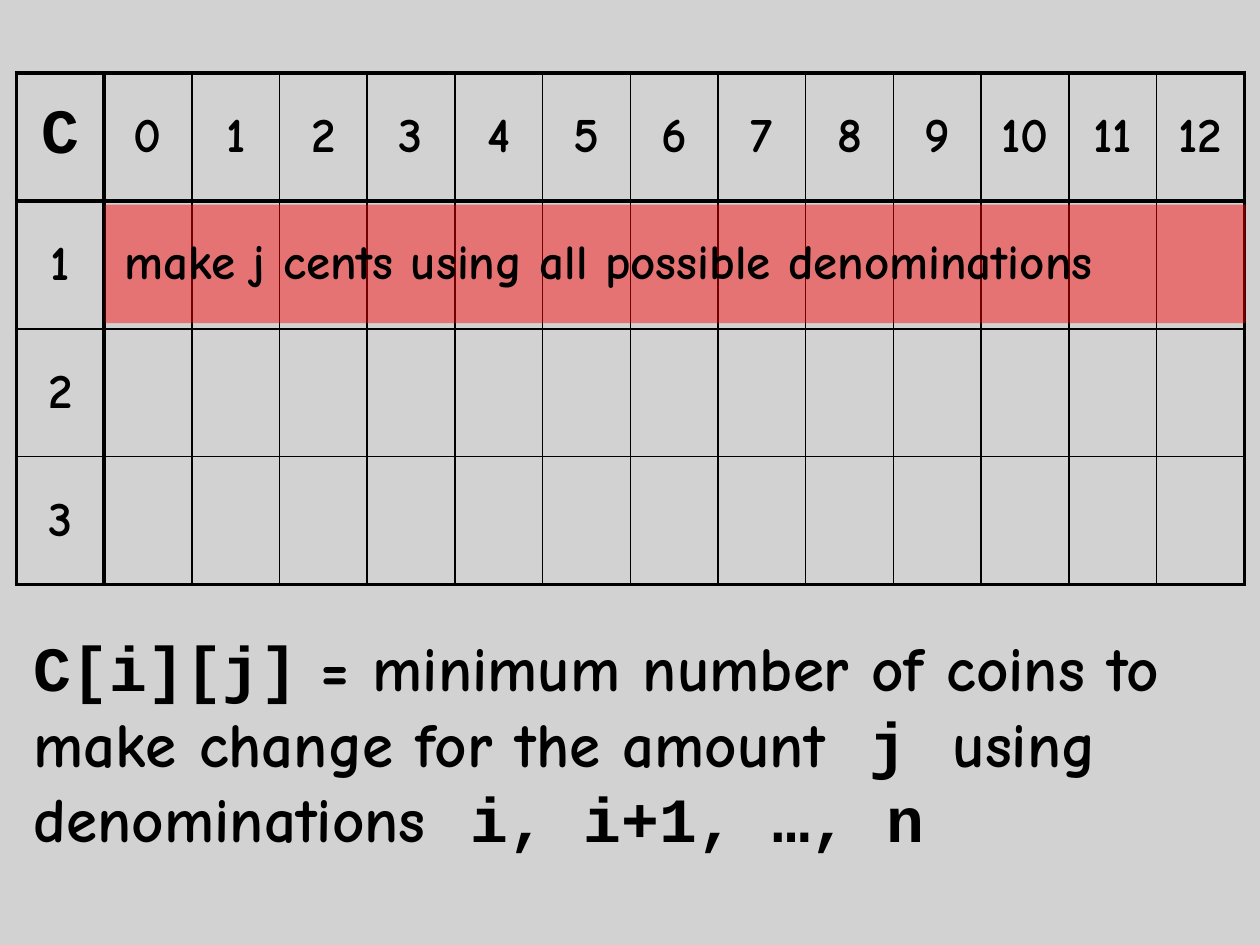
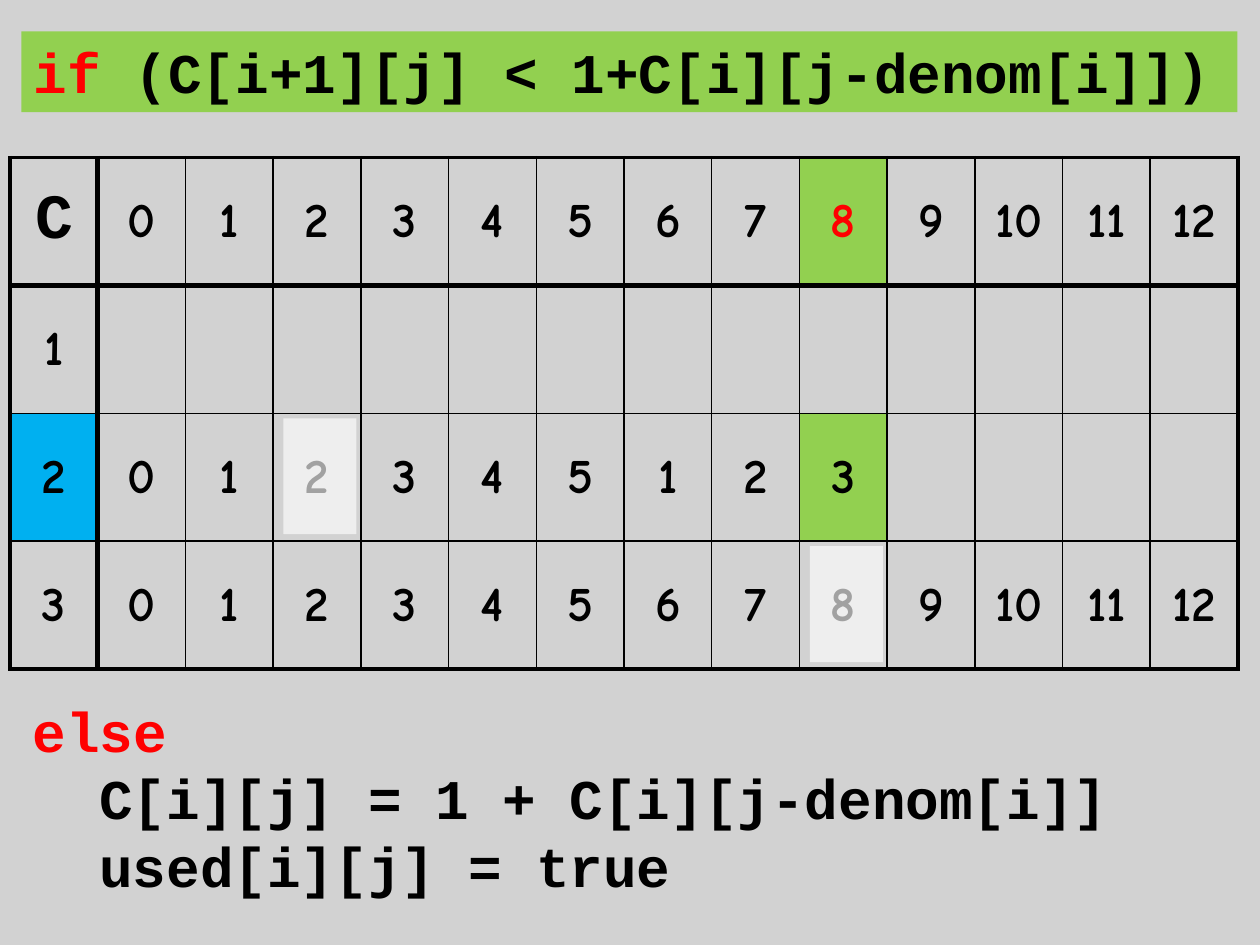
"""Builds two slides on the coin-change table C[i][j]."""
from lxml import etree
from pptx import Presentation
from pptx.dml.color import RGBColor
from pptx.enum.shapes import MSO_SHAPE
from pptx.enum.text import MSO_ANCHOR, PP_ALIGN
from pptx.oxml.ns import qn
from pptx.util import Inches, Pt

RECT = MSO_SHAPE.RECTANGLE
TOP, MIDDLE = MSO_ANCHOR.TOP, MSO_ANCHOR.MIDDLE
LEFT, CENTER = PP_ALIGN.LEFT, PP_ALIGN.CENTER

SLIDE_W, SLIDE_H = 10, 7.5
BLACK, WHITE, RED = "000000", "FFFFFF", "FF0000"
GREY, GREEN, BLUE = "C0C0C0", "92D050", "00B0F0"
HAND = {"name": "Comic Neue", "bold": True}
CODE = {"name": "Courier New", "bold": True}
HAND_28, HAND_36 = {**HAND, "size": Pt(28)}, {**HAND, "size": Pt(36)}
CODE_32, CODE_36 = {**CODE, "size": Pt(32)}, {**CODE, "size": Pt(36)}

AMOUNTS = [str(j) for j in range(13)]
COLS, ROWS = len(AMOUNTS) + 1, 4
COL_W, ROW_H = 9.75 / COLS, 4.06 / ROWS
THIN, OUTER, HEAVY = 1, 2.25, 3
CODE_INDENT = 0.53

EMPTY_GRID = [["C", *AMOUNTS], ["1"], ["2"], ["3"]]
FILLED_GRID = [
    ["C", *AMOUNTS],
    ["1"],
    ["2", "0", "1", "2", "3", "4", "5", "1", "2", "3"],
    ["3", *AMOUNTS],
]
CELL_FILLS = {(0, 9): GREEN, (2, 0): BLUE, (2, 9): GREEN}
CELL_INKS = {(0, 9): RED}
COMPARED_CELLS = [(3, 9), (2, 3)]

DEFINITION = [(0, [
    ("C[i][j]", CODE_36, BLACK),
    (" = minimum number of coins to make change for the amount  ", HAND_36, BLACK),
    ("j", CODE_36, BLACK),
    ("  using denominations  ", HAND_36, BLACK),
    ("i, i+1, …, n", CODE_36, BLACK),
])]
ROW_MEANING = [(0, [("make j cents using all possible denominations", HAND_28, BLACK)])]
CONDITION = [(0, [
    ("if ", CODE_32, RED),
    ("(C[i+1][j] < 1+C[i][j-denom[i]])", CODE_32, BLACK),
])]
ELSE_BRANCH = [
    (0, [("else", CODE_32, RED)]),
    (CODE_INDENT, [("C[i][j] = 1 + C[i][j-denom[i]]", CODE_32, BLACK)]),
    (CODE_INDENT, [("used[i][j] = true", CODE_32, BLACK)]),
]


def rgb(value):
    """Turn a hex string into a colour."""
    return RGBColor.from_string(value)


def add_run(p, text, style, ink):
    """Append one formatted run."""
    r = p.add_run()
    r.text = text
    for key, value in style.items():
        setattr(r.font, key, value)
    r.font.color.rgb = rgb(ink)


def write(sp, paragraphs):
    """Fill a shape with indented paragraphs of runs."""
    tf = sp.text_frame
    tf.word_wrap = True
    tf.vertical_anchor = TOP
    for i, (indent, runs) in enumerate(paragraphs):
        p = tf.add_paragraph() if i else tf.paragraphs[0]
        p.alignment = LEFT
        if indent:
            p._p.get_or_add_pPr().set("marL", str(Inches(indent)))
        for run in runs:
            add_run(p, *run)


def add_text(s, box, paragraphs):
    """Add a wrapping text box."""
    write(s.shapes.add_textbox(*map(Inches, box)), paragraphs)


def add_rect(s, box, color, opacity=100):
    """Add a borderless rectangle, see-through below 100 percent."""
    sp = s.shapes.add_shape(RECT, *map(Inches, box))
    sp.shadow.inherit = False
    sp.line.fill.background()
    sp.fill.solid()
    sp.fill.fore_color.rgb = rgb(color)
    if opacity < 100:
        clr = sp._element.spPr.find(".//" + qn("a:srgbClr"))
        etree.SubElement(clr, qn("a:alpha")).set("val", str(opacity * 1000))
    return sp


def edge_width(i, count):
    """Give the width of grid line i out of count cells."""
    return {0: OUTER, 1: HEAVY, count: OUTER}.get(i, THIN)


def set_borders(cell, row, col):
    """Draw the four edges of a cell by its place in the grid."""
    widths = {
        "a:lnL": edge_width(col, COLS),
        "a:lnR": edge_width(col + 1, COLS),
        "a:lnT": edge_width(row, ROWS),
        "a:lnB": edge_width(row + 1, ROWS),
    }
    tc_pr = cell._tc.get_or_add_tcPr()
    for i, (tag, width) in enumerate(widths.items()):
        ln = etree.Element(qn(tag), w=str(Pt(width)))
        fill = etree.SubElement(ln, qn("a:solidFill"))
        etree.SubElement(fill, qn("a:srgbClr")).set("val", BLACK)
        tc_pr.insert(i, ln)


def add_grid(s, left, top, values, fills, inks):
    """Add the table of C with its row and column headings."""
    box = (left, top, COLS * COL_W, ROWS * ROW_H)
    table = s.shapes.add_table(ROWS, COLS, *map(Inches, box)).table
    table.first_row = table.horz_banding = False
    for column in table.columns:
        column.width = Inches(COL_W)
    for table_row in table.rows:
        table_row.height = Inches(ROW_H)
    for row, texts in enumerate(values):
        for col in range(COLS):
            cell = table.cell(row, col)
            cell.vertical_anchor = MIDDLE
            if (row, col) in fills:
                cell.fill.solid()
                cell.fill.fore_color.rgb = rgb(fills[row, col])
            else:
                cell.fill.background()
            set_borders(cell, row, col)
            if col < len(texts):
                p = cell.text_frame.paragraphs[0]
                p.alignment = CENTER
                style = CODE_36 if (row, col) == (0, 0) else HAND_28
                add_run(p, texts[col], style, inks.get((row, col), BLACK))


def new_slide(prs):
    """Add a blank slide with the shared grey backdrop."""
    s = prs.slides.add_slide(prs.slide_layouts[6])
    add_rect(s, (0, 0, SLIDE_W, SLIDE_H), GREY, 70)
    return s


def definition_slide(prs):
    """Explain what an entry of the table means."""
    left, top = 0.13, 0.58
    s = new_slide(prs)
    add_grid(s, left, top, EMPTY_GRID, {}, {})
    add_text(s, (0.17, 4.94, 9.75, 2.22), DEFINITION)
    add_rect(s, (left + COL_W + 0.01, top + ROW_H + 0.03, 9.05, 0.94), RED, 45)
    add_text(s, (0.89, 1.78, 8.76, 0.57), ROW_MEANING)


def comparison_slide(prs):
    """Show the choice made for one entry of the table."""
    left, top = 0.08, 1.25
    s = new_slide(prs)
    add_grid(s, left, top, FILLED_GRID, CELL_FILLS, CELL_INKS)
    for row, col in COMPARED_CELLS:
        x, y = left + col * COL_W + 0.08, top + row * ROW_H + 0.04
        add_rect(s, (x, y, 0.58, 0.92), WHITE, 63)
    write(add_rect(s, (0.17, 0.25, 9.65, 0.64), GREEN), CONDITION)
    add_text(s, (0.16, 5.48, 8.84, 1.72), ELSE_BRANCH)


def main():
    """Build and save the presentation."""
    prs = Presentation()
    prs.slide_width, prs.slide_height = Inches(SLIDE_W), Inches(SLIDE_H)
    definition_slide(prs)
    comparison_slide(prs)
    prs.save("out.pptx")


if __name__ == "__main__":
    main()
